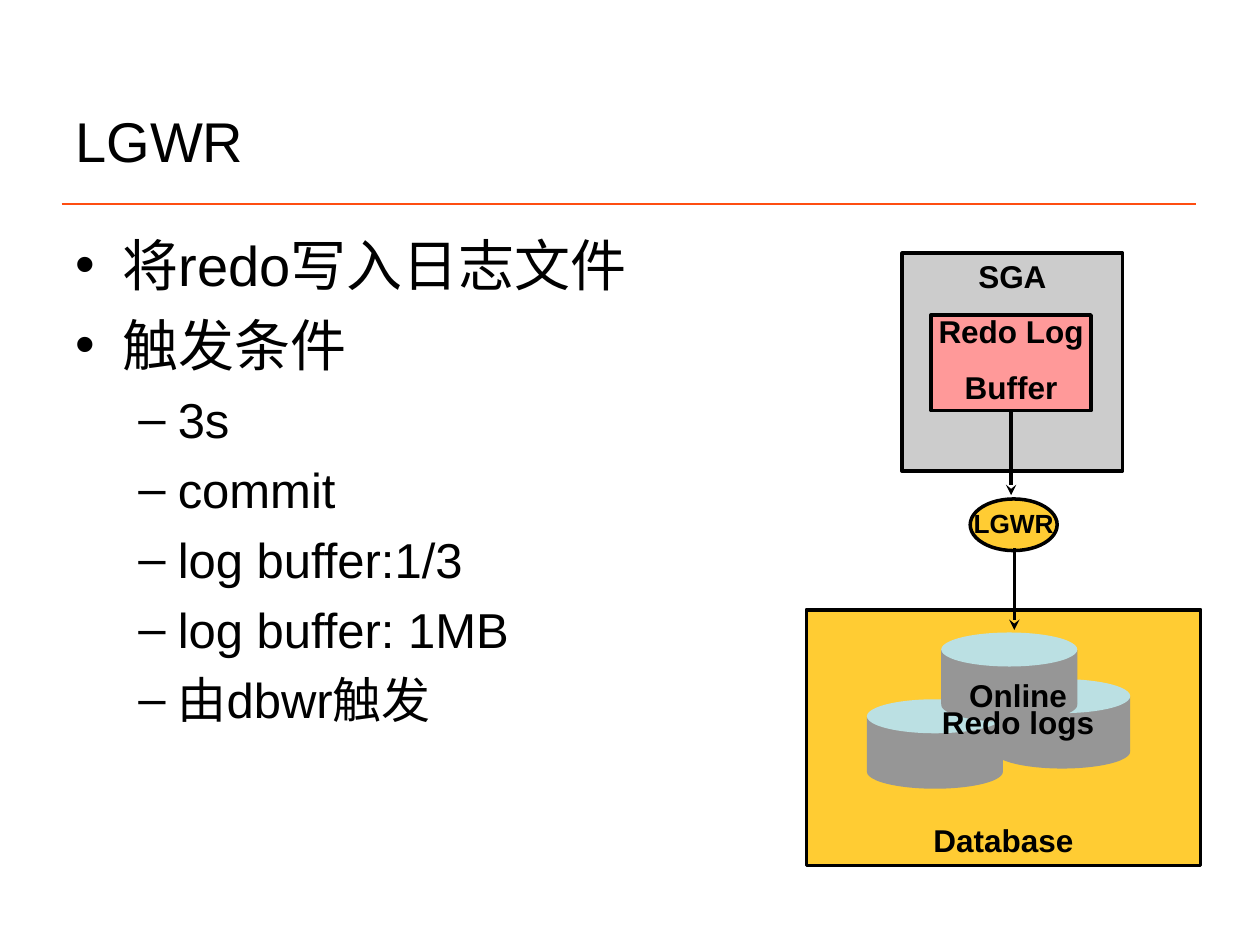
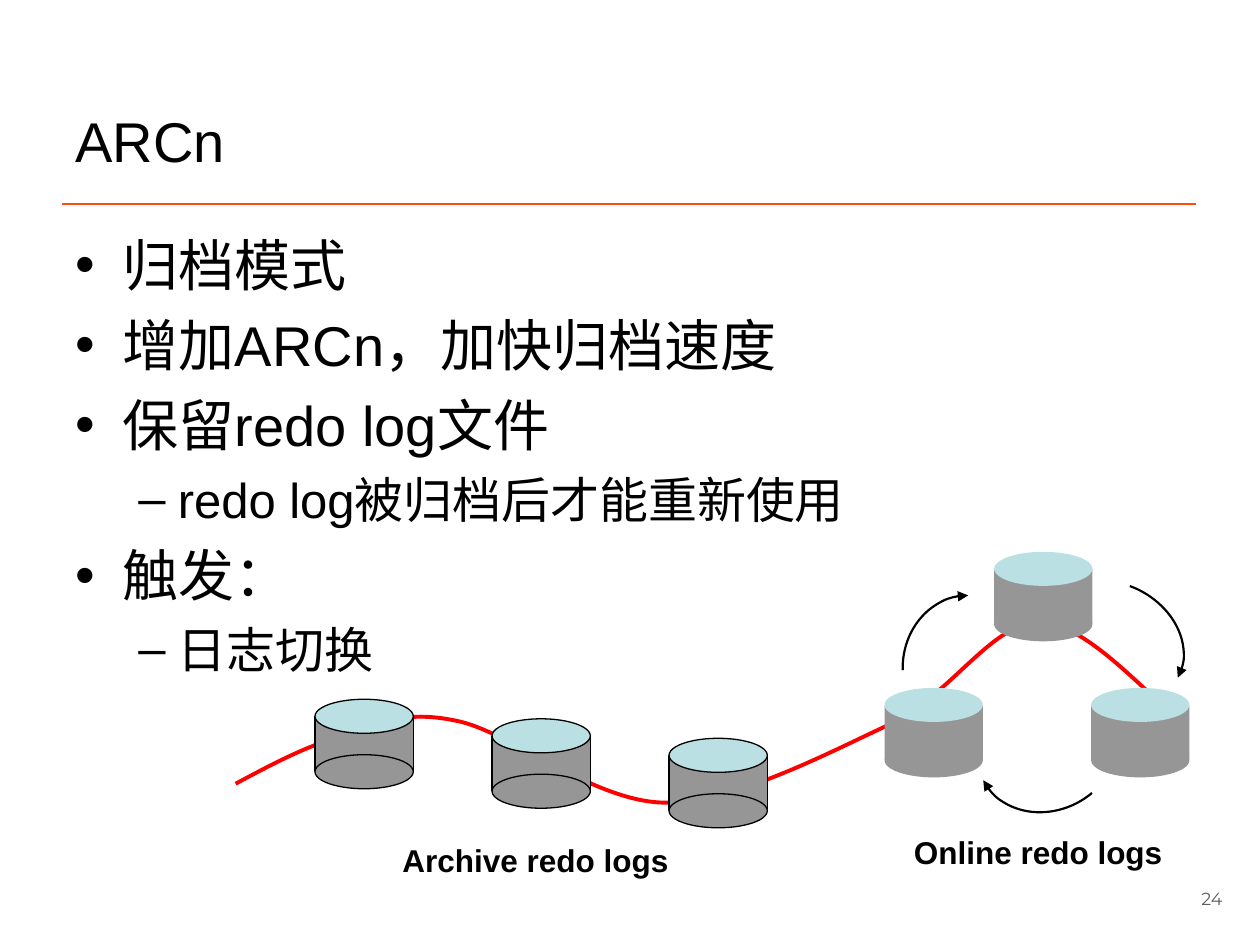
import dataclasses
import typing

import lxml.etree
import pptx
import pptx.dml.color
import pptx.enum.shapes
import pptx.enum.text
import pptx.oxml.ns
import pptx.util

Color = pptx.dml.color.RGBColor
Shapes = pptx.enum.shapes.MSO_SHAPE
Align = pptx.enum.text.PP_ALIGN
Anchor = pptx.enum.text.MSO_ANCHOR

BLACK = Color(0x00, 0x00, 0x00)
RULE_ORANGE = Color(0xFE, 0x4D, 0x11)
YELLOW = Color(0xFF, 0xCC, 0x33)
PANEL_GRAY = Color(0xCC, 0xCC, 0xCC)
PINK = Color(0xFF, 0x99, 0x99)
DISK_GRAY = Color(0x96, 0x96, 0x96)
LID_BLUE = Color(0xBB, 0xE0, 0xE3)
RED = Color(0xFF, 0x00, 0x00)
NUMBER_GRAY = Color(0x5F, 0x5F, 0x5F)

SLIDE_WIDTH = pptx.util.Inches(10)
SLIDE_HEIGHT = pptx.util.Inches(7.5)
COLUMNS, ROWS = 100, 75


@dataclasses.dataclass(frozen=True)
class Area:
    left: float
    top: float
    width: float
    height: float

    def lengths(self) -> tuple:
        return column(self.left), row(self.top), column(self.width), row(self.height)


@dataclasses.dataclass(frozen=True)
class Level:
    marker: str
    size: int
    margin: float
    hanging: float
    space_before: float


@dataclasses.dataclass(frozen=True)
class Block:
    area: Area
    kind: typing.Any
    fill: Color
    lines: tuple
    size: int = 18
    anchor: typing.Any = Anchor.MIDDLE
    line_spacing: float = 0.95


@dataclasses.dataclass(frozen=True)
class Disk:
    left: float
    top: float
    width: float
    line_width: float = 0


@dataclasses.dataclass(frozen=True)
class CycleArrow:
    area: Area
    rotation: float
    start: float


TOPIC = Level("•", 32, 3.75, 3.75, 7.4)
DETAIL = Level("–", 28, 8.13, 3.13, 6.4)

DATABASE = Block(Area(64, 48.4, 31.3, 20.3), Shapes.RECTANGLE, YELLOW, ("Database",), anchor=Anchor.BOTTOM)
SGA = Block(Area(71.6, 20.1, 17.5, 17.3), Shapes.RECTANGLE, PANEL_GRAY, ("SGA",), anchor=Anchor.TOP)
LOG_BUFFER = Block(Area(73.9, 25, 12.7, 7.6), Shapes.RECTANGLE, PINK, ("Redo Log", "Buffer"), line_spacing=0.75)
LOG_WRITER = Block(Area(77, 39.6, 6.9, 4.1), Shapes.OVAL, YELLOW, ("LGWR",), size=15)

BACK_DISKS = (Disk(68.8, 55.5, 10.8), Disk(78.9, 53.9, 10.8))
FRONT_DISK = Disk(74.7, 50.2, 10.8)
ONLINE_DISKS = (Disk(78.9, 43.8, 7.8), Disk(70.2, 54.6, 7.8), Disk(86.6, 54.6, 7.8))
ARCHIVE_DISKS = tuple(Disk(25 + 14.05 * step, 55.5 + 1.55 * step, 7.8, 0.75) for step in range(3))

CYCLE_ARROWS = (
    CycleArrow(Area(71.1, 47.8, 11.5, 10.4), 270, 160.75),
    CycleArrow(Area(82.7, 46.4, 11.5, 9.2), 29, 153.76),
    CycleArrow(Area(77.4, 54.3, 11.5, 10), 152.9, 151.83),
)

LOG_FLOW = (
    (18.7, 62.2),
    (21.5, 60.7), (24.3, 59.2), (27.2, 58.4),
    (30.1, 57.5), (31.9, 56.3), (36.2, 57.2),
    (40.4, 58), (47, 63.6), (52.7, 63.7),
    (58.4, 63.7), (65.6, 59.8), (70.6, 57.5),
    (75.5, 55.1), (78.6, 49.6), (82.3, 49.4),
    (86, 49.2), (90.8, 55), (92.7, 56.2),
    (94.5, 57.5), (94, 57.2), (93.5, 56.9),
)


def column(count: float) -> pptx.util.Emu:
    return pptx.util.Emu(round(SLIDE_WIDTH * count / COLUMNS))


def row(count: float) -> pptx.util.Emu:
    return pptx.util.Emu(round(SLIDE_HEIGHT * count / ROWS))


def add_element(parent, tag: str, **attributes: str):
    return lxml.etree.SubElement(parent, pptx.oxml.ns.qn(tag), attributes)


def write_text(frame, text: str, *, size: float, font: str = "Arial", color: Color = BLACK, bold: bool = False,
               alignment=Align.LEFT, line_spacing: float = 1.0, space_before: float = 0,
               level: typing.Optional[Level] = None) -> None:
    paragraph = frame.paragraphs[0]
    if paragraph.runs:
        paragraph = frame.add_paragraph()
        paragraph.space_before = pptx.util.Pt(space_before)
    paragraph.alignment = alignment
    paragraph.line_spacing = line_spacing
    if level:
        properties = paragraph._p.get_or_add_pPr()
        properties.set("marL", str(column(level.margin)))
        properties.set("indent", str(-column(level.hanging)))
        add_element(properties, "a:buFont", typeface=font)
        add_element(properties, "a:buChar", char=level.marker)
    run = paragraph.add_run()
    run.text = text
    run.font.name = font
    run.font.size = pptx.util.Pt(size)
    run.font.bold = bold
    run.font.color.rgb = color


def set_insets(frame, horizontal: float, vertical: float) -> None:
    frame.margin_left = frame.margin_right = column(horizontal)
    frame.margin_top = frame.margin_bottom = row(vertical)


def add_text_box(slide, area: Area, anchor=Anchor.TOP, insets: tuple = (1, 0.5)):
    frame = slide.shapes.add_textbox(*area.lengths()).text_frame
    frame.word_wrap = True
    frame.vertical_anchor = anchor
    set_insets(frame, *insets)
    return frame


def set_line(line, color: Color, width: float, arrowhead: str = "") -> None:
    line.color.rgb = color
    line.width = pptx.util.Pt(width)
    if arrowhead:
        add_element(line._get_or_add_ln(), "a:tailEnd", type=arrowhead)


def add_shape(shapes, kind, area: Area, fill: typing.Optional[Color], line_width: float = 0):
    shape = shapes.add_shape(kind, *area.lengths())
    shape.shadow.inherit = False
    if fill is None:
        shape.fill.background()
    else:
        shape.fill.solid()
        shape.fill.fore_color.rgb = fill
    if line_width:
        set_line(shape.line, BLACK, line_width)
    else:
        shape.line.fill.background()
    return shape


def add_line(slide, start: tuple, end: tuple, color: Color, width: float, arrowhead: str = ""):
    connector = slide.shapes.add_connector(
        pptx.enum.shapes.MSO_CONNECTOR.STRAIGHT,
        column(start[0]), row(start[1]), column(end[0]), row(end[1]))
    set_line(connector.line, color, width, arrowhead)
    add_element(connector._element.spPr, "a:effectLst")
    return connector


def add_block(slide, block: Block):
    shape = add_shape(slide.shapes, block.kind, block.area, block.fill, 2)
    frame = shape.text_frame
    frame.word_wrap = False
    frame.vertical_anchor = block.anchor
    set_insets(frame, 0.5, 0.5)
    for text in block.lines:
        write_text(frame, text, size=block.size, bold=True, alignment=Align.CENTER,
                   line_spacing=block.line_spacing, space_before=16)
    return shape


def add_disk(slide, disk: Disk) -> None:
    group = slide.shapes.add_group_shape()
    for kind, offset, height, fill in (
        (Shapes.RECTANGLE, 1.4, 4.3, DISK_GRAY),
        (Shapes.OVAL, 0, 2.7, LID_BLUE),
        (Shapes.OVAL, 4.4, 2.7, DISK_GRAY),
    ):
        area = Area(disk.left, disk.top + offset, disk.width, height)
        add_shape(group.shapes, kind, area, fill, disk.line_width)


def add_label(slide, text: str, area: Area) -> None:
    frame = add_text_box(slide, area, insets=(1.1, 0.6))
    write_text(frame, text, size=18, bold=True, alignment=Align.CENTER, line_spacing=0.7)


def add_cycle_arrow(slide, arrow: CycleArrow) -> None:
    shape = add_shape(slide.shapes, Shapes.ARC, arrow.area, None)
    shape.adjustments[0] = arrow.start
    shape.adjustments[1] = 0
    shape.rotation = arrow.rotation
    set_line(shape.line, BLACK, 1.25, "triangle")


def add_curve(slide, points: tuple, color: Color, width: float) -> None:
    places = [(column(x), row(y)) for x, y in points]
    builder = slide.shapes.build_freeform(*places[0])
    builder.add_line_segments(places[1:], close=False)
    shape = builder.convert_to_shape()
    shape.shadow.inherit = False
    shape.fill.background()
    set_line(shape.line, color, width)
    outline = shape._element.find(".//" + pptx.oxml.ns.qn("a:path"))
    segments = outline.findall(pptx.oxml.ns.qn("a:lnTo"))
    for first in range(0, len(segments), 3):
        curve = add_element(outline, "a:cubicBezTo")
        for segment in segments[first:first + 3]:
            curve.append(segment[0])
            outline.remove(segment)


def start_slide(presentation, title: str):
    slide = presentation.slides.add_slide(presentation.slide_layouts[6])
    slide.background.fill.solid()
    slide.background.fill.fore_color.rgb = Color(0xFF, 0xFF, 0xFF)
    add_line(slide, (4.9, 16.2), (94.9, 16.2), RULE_ORANGE, 1)
    write_text(add_text_box(slide, Area(5, 8.4, 90, 5.5), Anchor.MIDDLE), title, size=32)
    return slide


def add_outline(slide, area: Area, items: tuple) -> None:
    frame = add_text_box(slide, area)
    for level, text in items:
        write_text(frame, text, size=level.size, space_before=level.space_before, level=level)


def build_log_writer_slide(presentation) -> None:
    slide = start_slide(presentation, "LGWR")
    add_block(slide, DATABASE)
    for disk in BACK_DISKS[::-1]:
        add_disk(slide, disk)
    add_outline(slide, Area(5, 17.8, 46.6, 42.3), (
        (TOPIC, "将redo写入日志文件"),
        (TOPIC, "触发条件"),
        (DETAIL, "3s"),
        (DETAIL, "commit"),
        (DETAIL, "log buffer:1/3"),
        (DETAIL, "log buffer: 1MB"),
        (DETAIL, "由dbwr触发"),
    ))
    add_block(slide, SGA)
    log_buffer = add_block(slide, LOG_BUFFER)
    add_block(slide, LOG_WRITER)
    add_line(slide, (80.5, 43.5), (80.5, 50), BLACK, 2, "stealth")
    add_disk(slide, FRONT_DISK)
    add_label(slide, "Online Redo logs", Area(73.4, 53.9, 14.8, 5.4))
    buffer_arrow = add_line(slide, (80.25, 32.6), (80.25, 39.3), BLACK, 2, "stealth")
    buffer_arrow.begin_connect(log_buffer, 2)


def build_archiver_slide(presentation) -> None:
    slide = start_slide(presentation, "ARCn")
    add_outline(slide, Area(5, 17.8, 90, 35.3), (
        (TOPIC, "归档模式"),
        (TOPIC, "增加ARCn，加快归档速度"),
        (TOPIC, "保留redo log文件"),
        (DETAIL, "redo log被归档后才能重新使用"),
        (TOPIC, "触发："),
        (DETAIL, "日志切换"),
    ))
    write_text(add_text_box(slide, Area(74.7, 70, 23.3, 2.9)), "24", size=10, font="Montserrat",
               color=NUMBER_GRAY, alignment=Align.RIGHT)
    add_curve(slide, LOG_FLOW, RED, 2.25)
    for disk in ONLINE_DISKS + ARCHIVE_DISKS:
        add_disk(slide, disk)
    add_label(slide, "Online redo logs", Area(69.5, 66.3, 25.8, 3.3))
    add_label(slide, "Archive redo logs", Area(29.6, 67, 25.8, 3.3))
    for arrow in CYCLE_ARROWS:
        add_cycle_arrow(slide, arrow)


def main() -> None:
    presentation = pptx.Presentation()
    presentation.slide_width = SLIDE_WIDTH
    presentation.slide_height = SLIDE_HEIGHT
    build_log_writer_slide(presentation)
    build_archiver_slide(presentation)
    presentation.save("out.pptx")


if __name__ == "__main__":
    main()
